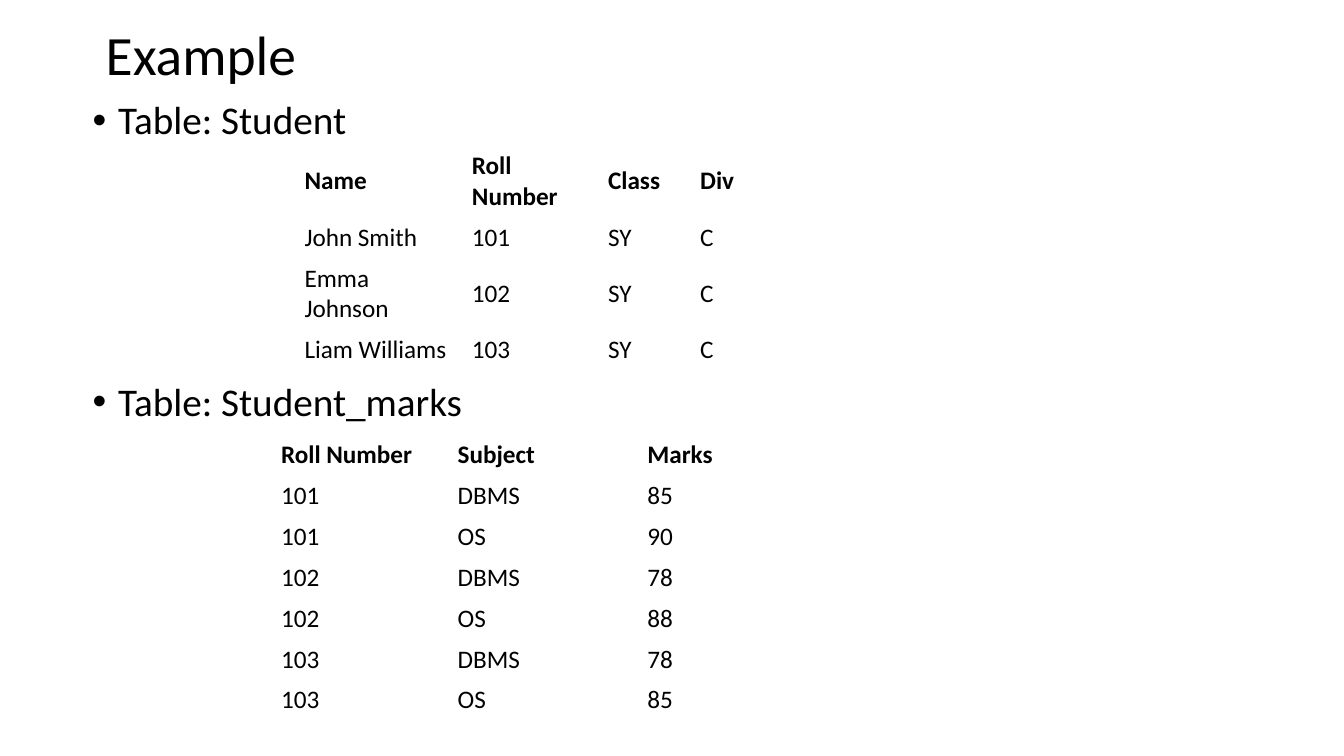
from lxml import etree
from pptx import Presentation
from pptx.dml.color import RGBColor
from pptx.enum.text import MSO_ANCHOR, MSO_AUTO_SIZE, PP_ALIGN
from pptx.oxml.ns import qn
from pptx.util import Cm, Pt

LEFT = PP_ALIGN.LEFT
TOP = MSO_ANCHOR.TOP
MIDDLE = MSO_ANCHOR.MIDDLE
NO_AUTOFIT = MSO_AUTO_SIZE.NONE
TITLE_AND_CONTENT = 1
FONT = "Calibri"
COLOURS = {"text": "000000", "page": "FFFFFF"}
LINE_HEIGHT = 1.03
TWO_LINE_HEIGHT = 1.81

STUDENTS = [
    ("Name", "Roll Number", "Class", "Div"),
    ("John Smith", "101", "SY", "C"),
    ("Emma Johnson", "102", "SY", "C"),
    ("Liam Williams", "103", "SY", "C"),
]
MARKS = [
    ("Roll Number", "Subject", "Marks"),
    ("101", "DBMS", "85"),
    ("101", "OS", "90"),
    ("102", "DBMS", "78"),
    ("102", "OS", "88"),
    ("103", "DBMS", "78"),
    ("103", "OS", "85"),
]


def write(para, text, size=18, bold=False, bullet=False, before=0, spacing=1.0):
    """Fill a paragraph with formatted text."""
    para.alignment = LEFT
    para.line_spacing = spacing
    para.space_before = Pt(before)
    if bullet:
        properties = para._p.get_or_add_pPr()
        properties.set("marL", str(Cm(0.64)))
        properties.set("indent", str(Cm(-0.64)))
        etree.SubElement(properties, qn("a:buFont")).set("typeface", "Arial")
        etree.SubElement(properties, qn("a:buChar")).set("char", "•")
    span = para.add_run()
    span.text = text
    span.font.name = FONT
    span.font.size = Pt(size)
    span.font.bold = bold
    span.font.color.rgb = RGBColor.from_string(COLOURS["text"])


def place(holder, box, anchor):
    """Move a placeholder to a box and return its text frame."""
    holder.left, holder.top, holder.width, holder.height = map(Cm, box)
    frame = holder.text_frame
    frame.auto_size = NO_AUTOFIT
    frame.word_wrap = True
    frame.vertical_anchor = anchor
    return frame


def add_title(page, box, text):
    """Write the slide title."""
    frame = place(page.shapes.title, box, MIDDLE)
    write(frame.paragraphs[0], text, size=39.6, spacing=0.9)


def add_captions(page, box, captions, gap):
    """Write the bulleted table captions, parted by a gap in points."""
    frame = place(page.placeholders[1], box, TOP)
    for index, caption in enumerate(captions):
        para = frame.add_paragraph() if index else frame.paragraphs[0]
        write(para, caption, size=28, bullet=True, before=gap if index else 0, spacing=0.9)


def add_records(page, left, top, widths, records, tall_rows=()):
    """Draw a plain table with a bold heading row."""
    heights = [TWO_LINE_HEIGHT if index in tall_rows else LINE_HEIGHT
               for index in range(len(records))]
    table = page.shapes.add_table(
        len(records), len(widths), Cm(left), Cm(top), Cm(sum(widths)), Cm(sum(heights))
    ).table
    table.first_row = False
    table.horz_banding = False
    for column, width in zip(table.columns, widths):
        column.width = Cm(width)
    for index, (row, record) in enumerate(zip(table.rows, records)):
        row.height = Cm(heights[index])
        for cell, text in zip(row.cells, record):
            cell.fill.background()
            cell.vertical_anchor = MIDDLE
            write(cell.text_frame.paragraphs[0], text, bold=index == 0)


def main():
    """Build the slide and save the deck."""
    deck = Presentation()
    deck.slide_width, deck.slide_height = Cm(33.87), Cm(19.05)
    page = deck.slides.add_slide(deck.slide_layouts[TITLE_AND_CONTENT])
    page.background.fill.solid()
    page.background.fill.fore_color.rgb = RGBColor.from_string(COLOURS["page"])
    add_title(page, (2.41, 0.89, 29.13, 1.14), "Example")
    add_captions(page, (2.08, 2.41, 29.36, 12.57),
                 ["Table: Student", "Table: Student_marks"], gap=171)
    add_records(page, 7.42, 3.66, [4.22, 3.43, 2.32, 2.32], STUDENTS, tall_rows=(0, 2))
    add_records(page, 6.83, 10.95, [4.45, 4.78, 3.28], MARKS)
    deck.save("out.pptx")


if __name__ == "__main__":
    main()
